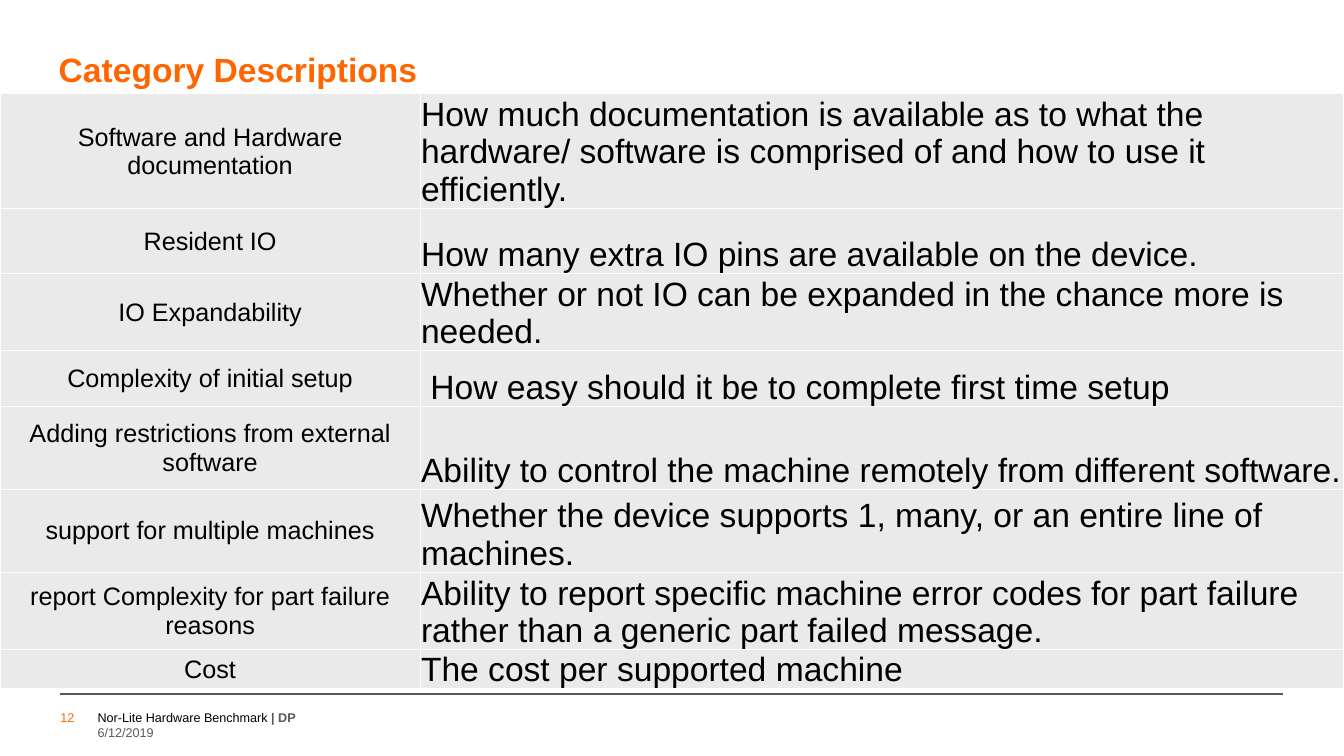
"""Build the category descriptions slide of a hardware benchmark deck."""
from dataclasses import dataclass

from lxml.etree import SubElement
from pptx import Presentation
from pptx.dml.color import RGBColor
from pptx.enum.shapes import MSO_CONNECTOR
from pptx.enum.text import MSO_ANCHOR as Anchor, PP_ALIGN as Align
from pptx.oxml import parse_xml
from pptx.oxml.ns import nsdecls, qn
from pptx.util import Cm, Pt

COLORS = {
    "accent": "FF6600",
    "body": "000000",
    "muted": "58585A",
    "cell": "EAEAEA",
    "border": "FFFFFF",
}
FONT = "Arial"
COLUMN_WIDTHS = (10.59, 23.28)


@dataclass(frozen=True)
class Category:
    name: str
    description: str
    height: float


@dataclass(frozen=True)
class FooterItem:
    runs: tuple[tuple[str, str, bool], ...]
    left: float
    top: float
    width: float
    anchor: Anchor


CATEGORIES = (
    Category("Software and Hardware documentation",
             "How much documentation is available as to what the hardware/ software "
             "is comprised of and how to use it efficiently.", 2.89),
    Category("Resident IO", "How many extra IO pins are available on the device.", 1.64),
    Category("IO Expandability",
             "Whether or not IO can be expanded in the chance more is needed.", 1.95),
    Category("Complexity of initial setup",
             " How easy should it be to complete first time setup", 1.4),
    Category("Adding restrictions from external software",
             "Ability to control the machine remotely from different software.", 2.09),
    Category("support for multiple machines",
             "Whether the device supports 1, many, or an entire line of machines.", 2.09),
    Category("report Complexity for part failure reasons",
             "Ability to report specific machine error codes for part failure rather "
             "than a generic part failed message.", 1.95),
    Category("Cost", "The cost per supported machine", 0.98),
)

FOOTER = (
    FooterItem((("12", "accent", False),), 1.52, 17.81, 0.81, Anchor.BOTTOM),
    FooterItem((("Nor-Lite Hardware Benchmark ", "body", False), ("| DP", "muted", True)),
               2.46, 17.81, 23.27, Anchor.BOTTOM),
    FooterItem((("6/12/2019", "muted", False),), 2.46, 18.27, 23.27, Anchor.TOP),
)


def rgb(name: str) -> RGBColor:
    """Return the named colour."""
    return RGBColor.from_string(COLORS[name])


def add_text(paragraph, text: str, *, size: float, color: str = "body", bold: bool = False,
             align: Align = Align.LEFT, spacing: float | Pt | None = None) -> None:
    """Append a formatted run to a paragraph."""
    paragraph.alignment = align
    paragraph.line_spacing = spacing
    run = paragraph.add_run()
    run.text = text
    run.font.name = FONT
    run.font.size = Pt(size)
    run.font.bold = bold
    run.font.color.rgb = rgb(color)


def prepare_frame(frame, anchor: Anchor) -> None:
    """Make a text frame wrap without margins."""
    frame.word_wrap = True
    frame.vertical_anchor = anchor
    frame.margin_left = frame.margin_right = frame.margin_top = frame.margin_bottom = 0


def add_borders(cell) -> None:
    """Outline a cell on all four sides."""
    properties = cell._tc.get_or_add_tcPr()
    for position, side in enumerate(("lnL", "lnR", "lnT", "lnB")):
        properties.insert(position, parse_xml(
            f'<a:{side} {nsdecls("a")} w="{Pt(1)}"><a:solidFill>'
            f'<a:srgbClr val="{COLORS["border"]}"/></a:solidFill></a:{side}>'))


def fill_cell(cell, text: str, *, anchor: Anchor, **text_format) -> None:
    """Write and format one table cell."""
    cell.fill.solid()
    cell.fill.fore_color.rgb = rgb("cell")
    cell.vertical_anchor = anchor
    cell.margin_left = cell.margin_right = cell.margin_top = Cm(0.02)
    cell.margin_bottom = 0
    add_text(cell.text_frame.paragraphs[0], text, **text_format)
    add_borders(cell)


def add_title(slide) -> None:
    """Place and format the slide title."""
    title = slide.shapes.title
    title.left, title.top, title.width, title.height = Cm(1.48), Cm(1.07), Cm(29.87), Cm(1.17)
    prepare_frame(title.text_frame, Anchor.BOTTOM)
    add_text(title.text_frame.paragraphs[0], "Category Descriptions",
             size=24, color="accent", bold=True, spacing=1.1)


def add_categories(slide) -> None:
    """Draw the table of categories."""
    height = sum(category.height for category in CATEGORIES)
    table = slide.shapes.add_table(len(CATEGORIES), len(COLUMN_WIDTHS), 0, Cm(2.36),
                                   Cm(sum(COLUMN_WIDTHS)), Cm(height)).table
    table.first_row = table.horz_banding = False
    for column, width in zip(table.columns, COLUMN_WIDTHS):
        column.width = Cm(width)
    for index, category in enumerate(CATEGORIES):
        table.rows[index].height = Cm(category.height)
        fill_cell(table.cell(index, 0), category.name, size=18,
                  anchor=Anchor.MIDDLE, align=Align.CENTER)
        fill_cell(table.cell(index, 1), category.description, size=24,
                  anchor=Anchor.BOTTOM, spacing=Pt(26.8))


def add_footer(slide) -> None:
    """Draw the footer rule and its texts."""
    rule = slide.shapes.add_connector(MSO_CONNECTOR.STRAIGHT,
                                      Cm(1.52), Cm(17.49), Cm(32.33), Cm(17.49))
    rule.line.color.rgb = rgb("muted")
    rule.line.width = Pt(1.5)
    SubElement(rule._element.spPr, qn("a:effectLst"))
    for item in FOOTER:
        box = slide.shapes.add_textbox(Cm(item.left), Cm(item.top), Cm(item.width), Cm(0.46))
        prepare_frame(box.text_frame, item.anchor)
        for text, color, bold in item.runs:
            add_text(box.text_frame.paragraphs[0], text, size=9, color=color, bold=bold)


def main() -> None:
    """Build and save the presentation."""
    deck = Presentation()
    deck.slide_width, deck.slide_height = Cm(33.87), Cm(19.05)
    slide = deck.slides.add_slide(deck.slide_layouts[5])
    add_footer(slide)
    add_categories(slide)
    add_title(slide)
    deck.save("out.pptx")


if __name__ == "__main__":
    main()
